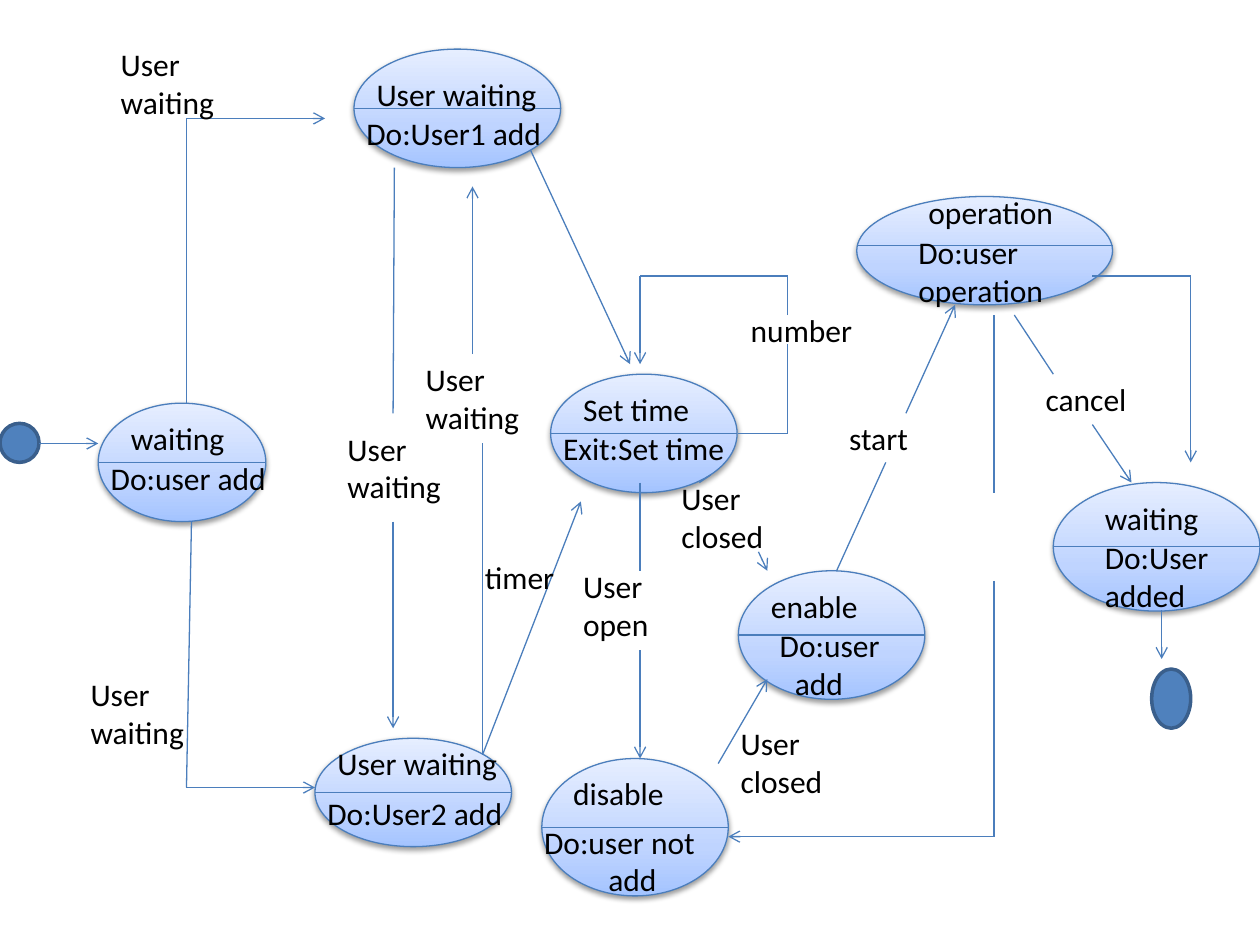
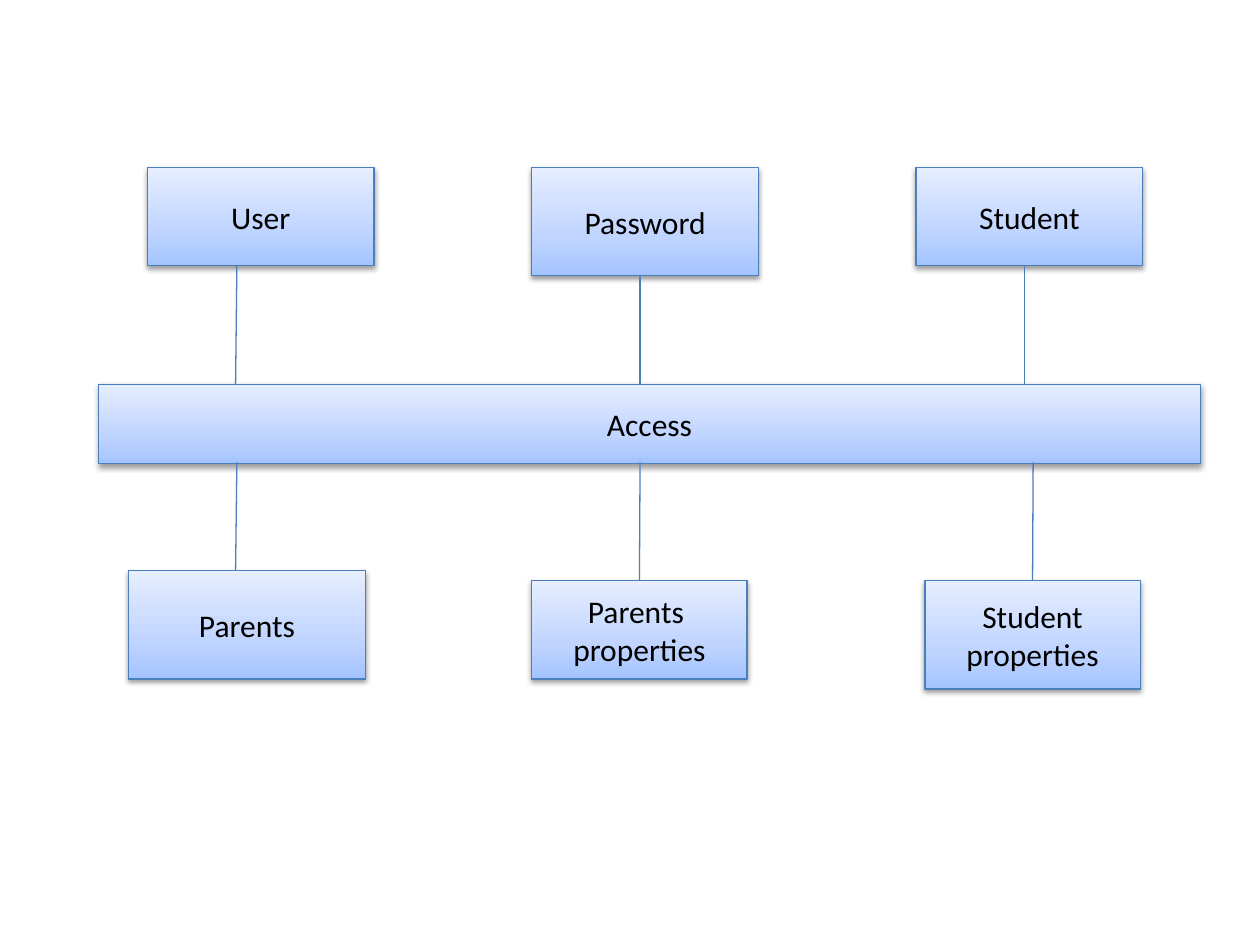
from dataclasses import dataclass
from itertools import pairwise
from typing import Any, Optional

from lxml.etree import SubElement
from pptx import Presentation
from pptx.dml.color import RGBColor
from pptx.enum.shapes import MSO_CONNECTOR, MSO_SHAPE
from pptx.enum.text import MSO_ANCHOR, MSO_AUTO_SIZE, PP_ALIGN
from pptx.oxml.ns import qn
from pptx.util import Inches, Pt

# Shared look
BLACK = RGBColor(0x00, 0x00, 0x00)
LINE_BLUE = RGBColor(0x4B, 0x7E, 0xBC)
DOT_BLUE = RGBColor(0x4F, 0x81, 0xBD)
DOT_EDGE = RGBColor(0x3A, 0x5F, 0x8C)
GRADIENT = {
    0: RGBColor(0xA4, 0xC4, 0xFF),
    35: RGBColor(0xBF, 0xD4, 0xFF),
    100: RGBColor(0xE6, 0xEE, 0xFF),
}
FONT_FORMAT = {"name": "Calibri", "size": Pt(18)}
BOX_FORMAT = {"word_wrap": True, "vertical_anchor": MSO_ANCHOR.MIDDLE}
LABEL_FORMAT = {"word_wrap": True, "auto_size": MSO_AUTO_SIZE.SHAPE_TO_FIT_TEXT}
BLANK_LAYOUT = 6
ONE_ROW, TWO_ROWS = 0.4, 0.71

Point = tuple[float, float]


@dataclass(frozen=True)
class Node:
    left: float
    top: float
    width: float
    height: float
    text: str = ""
    divider_shift: float = 0


@dataclass(frozen=True)
class Flow:
    points: tuple[Point, ...]
    arrow: bool = True


@dataclass(frozen=True)
class Label:
    text: str
    left: float
    top: float
    width: float
    height: float = ONE_ROW
    last_indent: float = 0


@dataclass(frozen=True)
class Link:
    x_start: float
    y_start: float
    x_end: float
    y_end: float
    target: Optional[str] = None


# Slide 1: state diagram
STATES = [
    Node(0.78, 3.2, 1.33, 0.94),
    Node(2.81, 0.39, 1.64, 0.94),
    Node(2.5, 5.86, 1.56, 0.86),
    Node(4.37, 2.97, 1.48, 0.94),
    Node(4.3, 6.02, 1.48, 1.09),
    Node(5.86, 4.53, 1.48, 1.02),
    Node(6.8, 1.56, 2.03, 0.86, divider_shift=-0.04),
    Node(8.36, 3.83, 1.64, 1.02),
]
START_END = [Node(0, 3.36, 0.31, 0.31), Node(9.14, 5.31, 0.31, 0.47)]
FLOWS = [
    # Waiting to the two users
    Flow(((0.31, 3.52), (0.78, 3.52))),
    Flow(((1.48, 3.2), (1.48, 0.94), (2.58, 0.94))),
    Flow(((1.52, 4.14), (1.48, 6.25), (2.5, 6.25))),
    # Between the users
    Flow(((3.13, 1.33), (3.12, 3.28)), arrow=False),
    Flow(((3.12, 4.14), (3.12, 5.78))),
    Flow(((3.83, 3.52), (3.83, 5.99)), arrow=False),
    Flow(((3.75, 2.81), (3.75, 1.48))),
    # Users to set time, and its number loop
    Flow(((4.21, 1.19), (5, 2.89))),
    Flow(((3.83, 5.99), (4.61, 3.98))),
    Flow(((5.86, 3.44), (6.25, 3.44), (6.25, 2.73)), arrow=False),
    Flow(((6.25, 2.5), (6.25, 2.19), (5.08, 2.19), (5.08, 2.89))),
    # Set time to disable and enable
    Flow(((5.08, 3.83), (5.08, 4.53)), arrow=False),
    Flow(((5.08, 5.16), (5.08, 6.02))),
    Flow(((5.64, 3.77), (5.55, 3.83)), arrow=False),
    Flow(((6.02, 4.38), (6.09, 4.53))),
    Flow(((5.7, 6.06), (6.09, 5.39))),
    # Enable to operation
    Flow(((6.64, 4.53), (7.03, 3.67)), arrow=False),
    Flow(((7.19, 3.28), (7.58, 2.42))),
    # Operation to waiting, disable and the end
    Flow(((8.67, 2.19), (9.45, 2.19), (9.45, 3.67))),
    Flow(((8.05, 2.5), (8.36, 2.97)), arrow=False),
    Flow(((8.67, 3.37), (8.98, 3.83))),
    Flow(((7.89, 2.5), (7.89, 3.91)), arrow=False),
    Flow(((7.89, 4.61), (7.89, 6.64), (5.78, 6.64))),
    Flow(((9.22, 4.84), (9.22, 5.23))),
]
LABELS = [
    # Flow names
    Label("User waiting", 0.86, 0.31, 1.25, TWO_ROWS),
    Label("User waiting", 0.62, 5.31, 1.09, TWO_ROWS),
    Label("User waiting", 2.66, 3.36, 1.17, TWO_ROWS),
    Label("User waiting", 3.28, 2.81, 1.02, TWO_ROWS),
    Label("timer", 3.75, 4.38, 0.86),
    Label("User open", 4.53, 4.45, 0.86, TWO_ROWS),
    Label("User closed", 5.31, 3.75, 1.09, TWO_ROWS),
    Label("User closed", 5.78, 5.7, 0.86, TWO_ROWS),
    Label("start", 6.64, 3.28, 0.78),
    Label("cancel", 8.2, 2.97, 0.94),
    Label("number", 5.86, 2.42, 1.09),
    # State names and actions
    Label("waiting", 0.94, 3.28, 1.02),
    Label("Do:user add", 0.78, 3.59, 1.72),
    Label("User waiting", 2.89, 0.55, 3.44),
    Label("Do:User1 add", 2.81, 0.86, 1.64),
    Label("User waiting", 2.58, 5.86, 1.48),
    Label("Do:User2 add", 2.5, 6.25, 1.88),
    Label("Set time", 4.53, 3.05, 1.25),
    Label("Exit:Set time", 4.37, 3.36, 1.88),
    Label("operation", 7.27, 1.48, 1.25),
    Label("Do:user\noperation", 7.19, 1.8, 2.42, TWO_ROWS),
    Label("disable", 4.45, 6.09, 1.33),
    Label("Do:user not\nadd", 4.22, 6.48, 2.03, TWO_ROWS, last_indent=0.51),
    Label("enable", 6.02, 4.61, 1.48),
    Label("Do:user\nadd", 6.09, 4.92, 1.17, TWO_ROWS, last_indent=0.12),
    Label("waiting", 8.67, 3.91, 1.09),
    Label("Do:User added", 8.67, 4.22, 1.56, TWO_ROWS),
]

# Slide 2: access structure
ENTITIES = [
    Node(0.78, 3.05, 8.75, 0.63, "Access"),
    Node(1.17, 1.33, 1.8, 0.78, "User"),
    Node(4.22, 1.33, 1.8, 0.86, "Password"),
    Node(7.27, 1.33, 1.8, 0.78, "Student"),
    Node(1.02, 4.53, 1.88, 0.86, "Parents"),
    Node(4.22, 4.61, 1.71, 0.78, "Parents \vproperties"),
    Node(7.34, 4.61, 1.71, 0.86, "Student properties"),
]
ACCESS_TOP, ACCESS_BOTTOM = 3.05, 3.67
LINKS = [
    Link(1.88, 2.11, 1.87, ACCESS_TOP),
    Link(5.08, 2.19, 5.08, ACCESS_TOP),
    Link(8.13, 2.11, 8.13, ACCESS_TOP),
    Link(1.88, ACCESS_BOTTOM, 1.87, 4.53),
    Link(5.08, ACCESS_BOTTOM, 5.07, 4.61, "Parents \vproperties"),
    Link(8.2, ACCESS_BOTTOM, 8.2, 4.61, "Student properties"),
]


def apply_format(target: Any, values: dict[str, Any]) -> None:
    for attribute, value in values.items():
        setattr(target, attribute, value)


def format_text(frame: Any, align: PP_ALIGN) -> None:
    for paragraph in frame.paragraphs:
        paragraph.alignment = align
        apply_format(paragraph.font, FONT_FORMAT)
        paragraph.font.color.rgb = BLACK


def add_node(slide: Any, preset: MSO_SHAPE, node: Node) -> Any:
    box = map(Inches, (node.left, node.top, node.width, node.height))
    return slide.shapes.add_shape(preset, *box)


def add_glossy(slide: Any, preset: MSO_SHAPE, node: Node) -> Any:
    """Add a shape with the shared gradient, outline and soft shadow."""
    shape = add_node(slide, preset, node)
    shape.fill.gradient()
    shape.fill.gradient_angle = 90
    properties = shape.fill._xPr
    stops = properties.find(qn("a:gradFill")).find(qn("a:gsLst"))
    for stop in list(stops):
        stops.remove(stop)
    for percent, color in GRADIENT.items():
        stop = SubElement(stops, qn("a:gs"), pos=str(percent * 1000))
        SubElement(stop, qn("a:srgbClr"), val=str(color))
    shape.line.color.rgb = LINE_BLUE
    shape.line.width = Pt(0.75)
    shape.shadow.inherit = False
    shadow = SubElement(
        properties.find(qn("a:effectLst")), qn("a:outerShdw"),
        blurRad=str(Pt(3.1)), dist=str(Pt(1.6)), dir="5400000", rotWithShape="0",
    )
    shade = SubElement(shadow, qn("a:srgbClr"), val=str(BLACK))
    SubElement(shade, qn("a:alpha"), val="38000")
    return shape


def add_line(slide: Any, start: Point, end: Point, arrow: bool = False) -> Any:
    ends = map(Inches, (*start, *end))
    line = slide.shapes.add_connector(MSO_CONNECTOR.STRAIGHT, *ends)
    line.line.color.rgb = LINE_BLUE
    line.line.width = Pt(0.75)
    if arrow:
        SubElement(line.line._get_or_add_ln(), qn("a:tailEnd"), type="arrow")
    SubElement(line._element.spPr, qn("a:effectLst"))
    return line


def add_flow(slide: Any, flow: Flow) -> None:
    for start, end in pairwise(flow.points):
        add_line(slide, start, end, flow.arrow and end == flow.points[-1])


def add_dot(slide: Any, node: Node) -> None:
    dot = add_node(slide, MSO_SHAPE.FLOWCHART_CONNECTOR, node)
    dot.shadow.inherit = False
    dot.fill.solid()
    dot.fill.fore_color.rgb = DOT_BLUE
    dot.line.color.rgb = DOT_EDGE
    dot.line.width = Pt(2)


def add_label(slide: Any, label: Label) -> None:
    box = map(Inches, (label.left, label.top, label.width, label.height))
    frame = slide.shapes.add_textbox(*box).text_frame
    frame.text = label.text
    apply_format(frame, LABEL_FORMAT)
    format_text(frame, PP_ALIGN.LEFT)
    if label.last_indent:
        last = frame.paragraphs[-1]._p.get_or_add_pPr()
        last.set("marL", str(Inches(label.last_indent)))


def build_state_diagram(slide: Any) -> None:
    for state in STATES:
        add_glossy(slide, MSO_SHAPE.OVAL, state)
    for dot in START_END:
        add_dot(slide, dot)
    for flow in FLOWS:
        add_flow(slide, flow)
    for state in STATES:
        middle = state.top + state.height / 2 + state.divider_shift
        add_line(slide, (state.left, middle), (state.left + state.width, middle))
    for label in LABELS:
        add_label(slide, label)


def build_access_structure(slide: Any) -> None:
    entities = {}
    for node in ENTITIES:
        entity = add_glossy(slide, MSO_SHAPE.RECTANGLE, node)
        entity.text_frame.text = node.text
        apply_format(entity.text_frame, BOX_FORMAT)
        format_text(entity.text_frame, PP_ALIGN.CENTER)
        entities[node.text] = entity
    for link in LINKS:
        line = add_line(slide, (link.x_start, link.y_start), (link.x_end, link.y_end))
        if link.target:
            line.end_connect(entities[link.target], 0)


def main() -> None:
    deck = Presentation()
    deck.slide_width, deck.slide_height = Inches(10), Inches(7.5)
    for build in (build_state_diagram, build_access_structure):
        build(deck.slides.add_slide(deck.slide_layouts[BLANK_LAYOUT]))
    deck.save("out.pptx")


if __name__ == "__main__":
    main()
